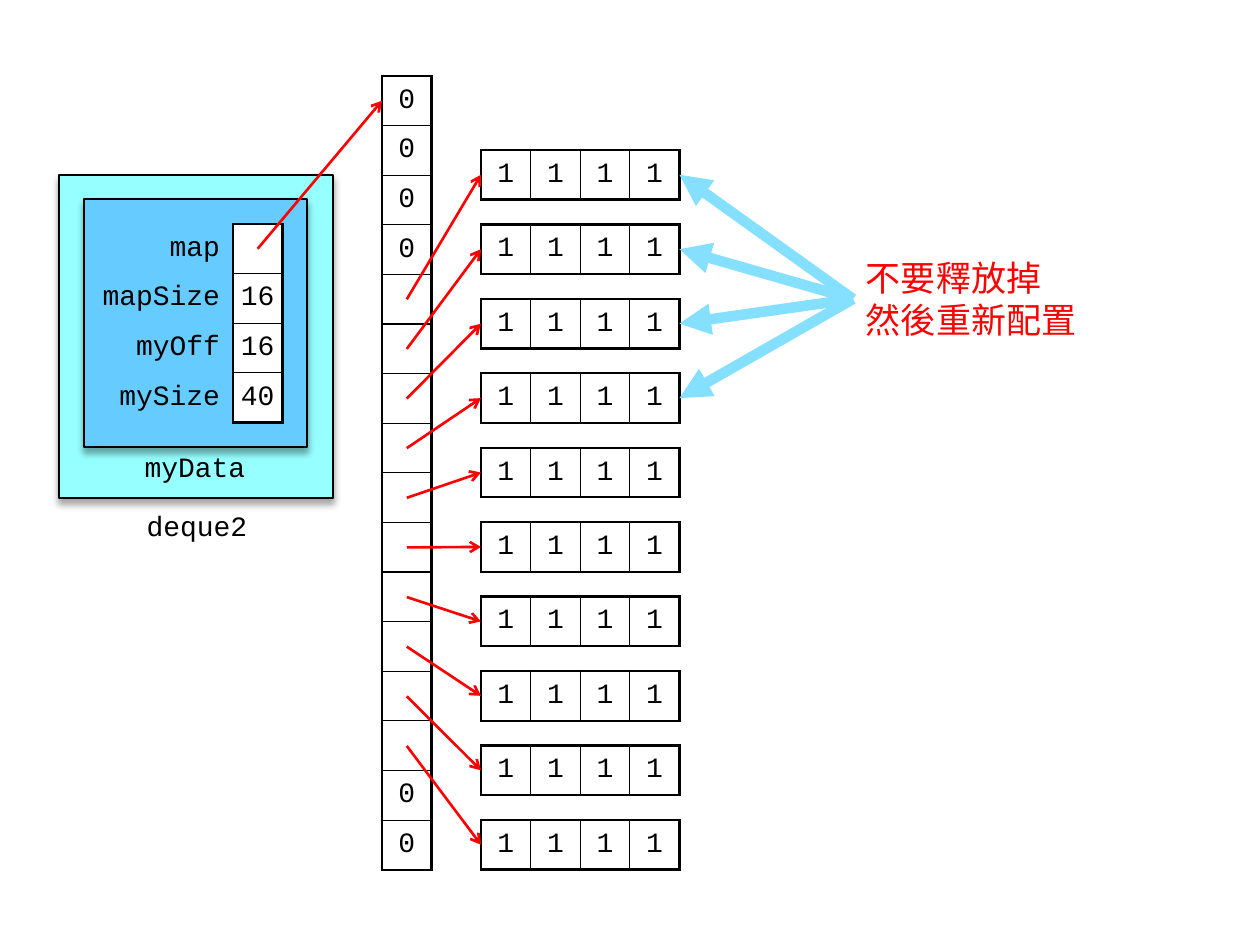
from lxml import etree
from pptx import Presentation
from pptx.dml.color import RGBColor
from pptx.enum.shapes import MSO_CONNECTOR, MSO_SHAPE
from pptx.enum.text import MSO_ANCHOR, PP_ALIGN
from pptx.oxml.ns import qn
from pptx.util import Emu, Pt

LEFT, CENTER, RIGHT = PP_ALIGN.LEFT, PP_ALIGN.CENTER, PP_ALIGN.RIGHT
MIDDLE, TOP = MSO_ANCHOR.MIDDLE, MSO_ANCHOR.TOP
PROCESS, STRAIGHT = MSO_SHAPE.FLOWCHART_PROCESS, MSO_CONNECTOR.STRAIGHT

COLORS = {"black": "000000", "white": "FFFFFF", "red": "FF0000",
          "deque": "96FFFF", "data": "66CCFF", "keep": "85DFFF"}
CODE_FONT, NOTE_FONT = "Courier New", "Noto Sans CJK SC"
CODE_SIZE, NOTE_SIZE = 16, 20
THICK, THIN = 1.5, 0.75

MAP_ROWS = [["0"]] * 4 + [[""]] * 10 + [["0"]] * 2
BLOCKS = [["1"] * 4] * 10
FIRST_USED, KEPT_BLOCKS = 4, 4
FIELDS = [["map", ""], ["mapSize", "16"], ["myOff", "16"], ["mySize", "40"]]
BOXES = [("deque", 59, 175, 274, 323), ("data", 84, 199, 223, 248)]
CAPTIONS = [
    (["deque2"], (110, 498, 174, 50), (10, 5, 10, 0), MIDDLE, CENTER, CODE_FONT, CODE_SIZE, "black"),
    (["myData"], (133, 448, 124, 50), (10, 2, 10, 0), TOP, CENTER, CODE_FONT, CODE_SIZE, "black"),
    (["不要釋放掉", "然後重新配置"], (853, 249, 248, 99), (13, 6, 13, 6), MIDDLE, LEFT,
     NOTE_FONT, NOTE_SIZE, "red"),
]
MAP_LEFT, MAP_TOP, MAP_HEIGHT = 382, 76, 794
BLOCK_LEFT, BLOCK_TOP = 481, 150
FIELD_LEFT, FIELD_TOP = 84, 224
NOTE_POINT = (853, 299)
CELL = MAP_HEIGHT / len(MAP_ROWS)
BLOCK_STEP = 1.5 * CELL


def px(value):
    return Emu(round(value * 914400 / 126))


def rgb(name):
    return RGBColor.from_string(COLORS[name])


def add_span(para, text, font, size, color):
    span = para.add_run()
    span.text = text
    span.font.name, span.font.size = font, Pt(size)
    span.font.color.rgb = rgb(color)
    etree.SubElement(span.font._element, qn("a:ea"), typeface=font)


def set_border(cell, side, width):
    line = etree.SubElement(cell._tc.get_or_add_tcPr(), qn("a:ln" + side), w=str(Pt(width)))
    if width:
        fill = etree.SubElement(line, qn("a:solidFill"))
        etree.SubElement(fill, qn("a:srgbClr"), val=COLORS["black"])
    else:
        etree.SubElement(line, qn("a:noFill"))


def add_grid(rows, left, top, widths, inset, labels=0):
    last_row, last_column = len(rows) - 1, len(widths) - 1
    frame = slide.shapes.add_table(len(rows), len(widths), px(left), px(top),
                                   px(sum(widths)), px(CELL * len(rows)))
    table = frame.table
    table.first_row = table.horz_banding = False
    for column, width in zip(table.columns, widths):
        column.width = px(width)
    for r, values in enumerate(rows):
        table.rows[r].height = px(CELL)
        for c, value in enumerate(values):
            cell = table.cell(r, c)
            is_label = c < labels
            cell.vertical_anchor = MIDDLE
            cell.margin_left = cell.margin_right = px(13 if is_label else inset)
            cell.margin_top = cell.margin_bottom = px(5)
            edges = {"L": c == labels, "R": c == last_column, "T": r == 0, "B": r == last_row}
            for side, outer in edges.items():
                set_border(cell, side, 0 if is_label else THICK if outer else THIN)
            if is_label:
                set_border_side = cell._tc.tcPr.find(qn("a:lnR"))
                cell._tc.tcPr.remove(set_border_side)
                cell.fill.background()
            else:
                cell.fill.solid()
                cell.fill.fore_color.rgb = rgb("white")
            para = cell.text_frame.paragraphs[0]
            para.alignment = RIGHT if is_label else CENTER
            if value:
                add_span(para, value, CODE_FONT, CODE_SIZE, "black")
            else:
                etree.SubElement(para._p, qn("a:endParaRPr"), sz=str(CODE_SIZE * 100))


def add_arrow(start, end, color, width, head):
    arrow = slide.shapes.add_connector(STRAIGHT, *map(px, start + end))
    arrow.line.color.rgb = rgb(color)
    arrow.line.width = Pt(width)
    etree.SubElement(arrow.line._get_or_add_ln(), qn("a:tailEnd"), type=head)
    etree.SubElement(arrow._element.spPr, qn("a:effectLst"))


def add_box(color, *bounds):
    box = slide.shapes.add_shape(PROCESS, *map(px, bounds))
    box.fill.solid()
    box.fill.fore_color.rgb = rgb(color)
    box.line.color.rgb = rgb("black")
    box.line.width = Pt(THICK)
    box.shadow.inherit = False
    effects = box._element.spPr.find(qn("a:effectLst"))
    shadow = etree.SubElement(effects, qn("a:outerShdw"), blurRad=str(Pt(4)), dist=str(Pt(3)),
                              dir="5400000", rotWithShape="0")
    tint = etree.SubElement(shadow, qn("a:srgbClr"), val=COLORS["black"])
    etree.SubElement(tint, qn("a:alpha"), val="35000")


def add_caption(lines, bounds, insets, anchor, alignment, font, size, color):
    frame = slide.shapes.add_textbox(*map(px, bounds)).text_frame
    frame.word_wrap = True
    frame.vertical_anchor = anchor
    (frame.margin_left, frame.margin_top,
     frame.margin_right, frame.margin_bottom) = map(px, insets)
    for index, text in enumerate(lines):
        para = frame.add_paragraph() if index else frame.paragraphs[0]
        para.alignment = alignment
        add_span(para, text, font, size, color)


deck = Presentation()
deck.slide_width, deck.slide_height = px(1260), px(945)
slide = deck.slides.add_slide(deck.slide_layouts[6])

add_grid(MAP_ROWS, MAP_LEFT, MAP_TOP, [CELL], 10)
for box in BOXES:
    add_box(*box)
for caption in CAPTIONS:
    add_caption(*caption)
add_grid(FIELDS, FIELD_LEFT, FIELD_TOP, [3 * CELL, CELL], 0, labels=1)
add_arrow((FIELD_LEFT + 3.5 * CELL, FIELD_TOP + CELL / 2), (MAP_LEFT, MAP_TOP + CELL / 2),
          "red", THICK, "arrow")

for index, values in enumerate(BLOCKS):
    top = BLOCK_TOP + index * BLOCK_STEP
    middle = top + CELL / 2
    add_grid([values], BLOCK_LEFT, top, [CELL] * len(values), 5)
    slot = MAP_TOP + (FIRST_USED + index + 0.5) * CELL
    add_arrow((MAP_LEFT + CELL / 2, slot), (BLOCK_LEFT, middle), "red", THICK, "arrow")
    if index < KEPT_BLOCKS:
        add_arrow(NOTE_POINT, (BLOCK_LEFT + len(values) * CELL, middle), "keep", 6, "triangle")

deck.save("out.pptx")
